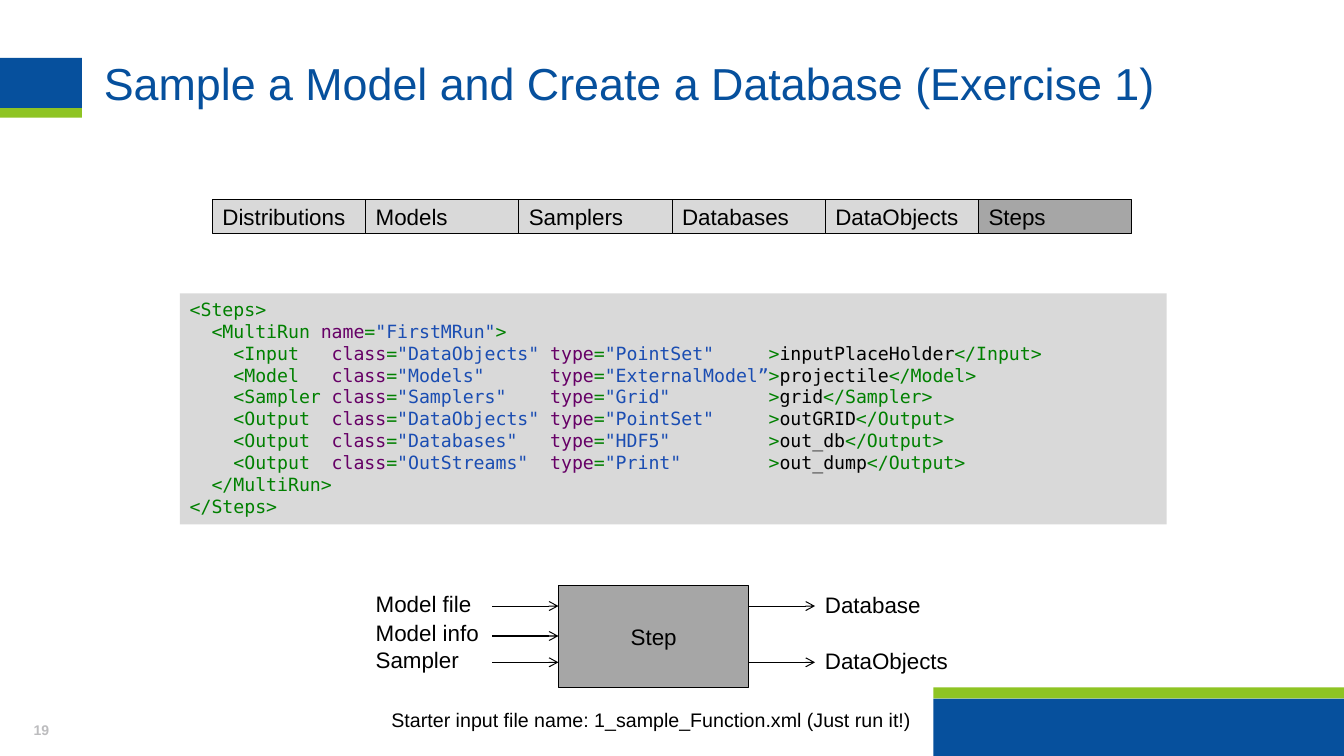
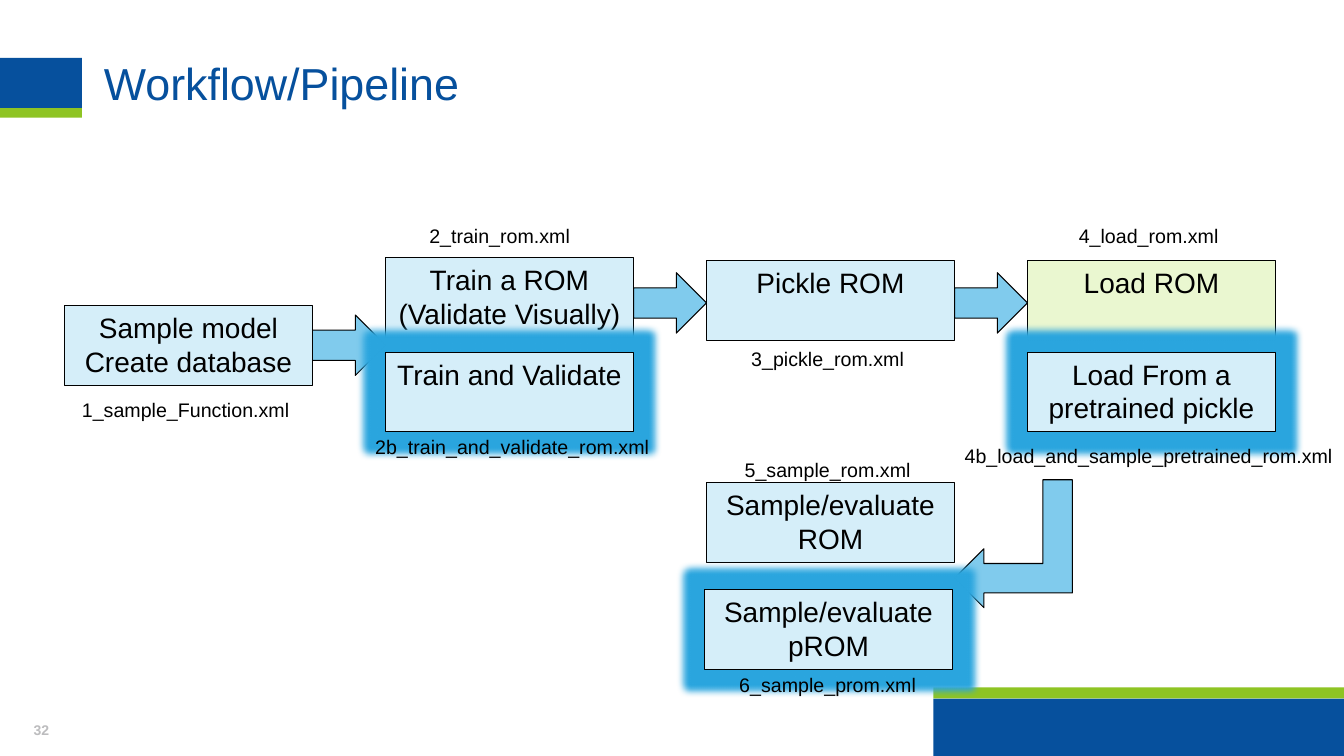
from dataclasses import dataclass

from lxml import etree
from pptx import Presentation
from pptx.dml.color import RGBColor
from pptx.enum.shapes import MSO_CONNECTOR, MSO_SHAPE
from pptx.enum.text import MSO_ANCHOR, PP_ALIGN
from pptx.oxml.ns import qn
from pptx.util import Pt

RECT, RIGHT_ARROW, BENT_ARROW = MSO_SHAPE.RECTANGLE, MSO_SHAPE.RIGHT_ARROW, MSO_SHAPE.BENT_UP_ARROW
STRAIGHT = MSO_CONNECTOR.STRAIGHT
LEFT, CENTER = PP_ALIGN.LEFT, PP_ALIGN.CENTER
TOP, MIDDLE = MSO_ANCHOR.TOP, MSO_ANCHOR.MIDDLE


@dataclass(frozen=True)
class Theme:
    font: str = "Arial"
    mono: str = "DejaVu Sans Mono"
    blue: str = "06509D"
    green: str = "8EC423"
    text: str = "000000"
    number: str = "BCBCBE"
    panel: str = "D9D9D9"
    active: str = "A6A6A6"
    box: str = "D5EEF9"
    box_alt: str = "EAF7D0"
    arrow: str = "80CBED"
    glow: str = "2BA6DF"
    tag: str = "008000"
    attr: str = "660066"
    value: str = "1A4DB2"
    title_size: float = 32
    box_size: float = 20
    body_size: float = 16
    label_size: float = 14
    code_size: float = 13
    number_size: float = 10
    outline: float = 0.75
    glow_radius: float = 10


T = Theme()
SLIDE_W, SLIDE_H = 960, 540
INSETS = (7.2, 3.6, 7.2, 3.6)


def rgb(value):
    return RGBColor.from_string(value)


def style_font(font, size, color=T.text, name=T.font, bold=False):
    font.name, font.size, font.bold = name, Pt(size), bold
    font.color.rgb = rgb(color)


def fill_text(sp, text, size, align=LEFT, anchor=TOP, insets=INSETS, color=T.text,
              bold=False, spacing=None):
    tf = sp.text_frame
    tf.word_wrap = True
    tf.vertical_anchor = anchor
    tf.margin_left, tf.margin_top, tf.margin_right, tf.margin_bottom = map(Pt, insets)
    tf.text = text
    for p in tf.paragraphs:
        p.alignment = align
        if spacing:
            p.line_spacing = spacing
        style_font(p.font, size, color, bold=bold)


def add_text(slide, box, text, size, **kwargs):
    sp = slide.shapes.add_textbox(*map(Pt, box))
    fill_text(sp, text, size, **kwargs)
    return sp


def add_shape(slide, kind, box, fill, outlined=True):
    sp = slide.shapes.add_shape(kind, *map(Pt, box))
    sp.shadow.inherit = False
    sp.fill.solid()
    sp.fill.fore_color.rgb = rgb(fill)
    if outlined:
        sp.line.color.rgb = rgb(T.text)
        sp.line.width = Pt(T.outline)
    else:
        sp.line.fill.background()
    return sp


def add_glow(sp):
    effects = sp._element.spPr.find(qn("a:effectLst"))
    glow = etree.SubElement(effects, qn("a:glow"), rad=str(Pt(T.glow_radius)))
    etree.SubElement(glow, qn("a:srgbClr"), val=T.glow)


def add_flow_arrow(slide, x1, x2, y):
    cxn = slide.shapes.add_connector(STRAIGHT, Pt(x1), Pt(y), Pt(x2), Pt(y))
    cxn.line.color.rgb = rgb(T.text)
    cxn.line.width = Pt(T.outline)
    sp_pr = cxn._element.spPr
    etree.SubElement(sp_pr.find(qn("a:ln")), qn("a:tailEnd"), type="arrow")
    etree.SubElement(sp_pr, qn("a:effectLst"))


def new_slide(prs, title, number):
    """Add a slide with the shared bands, title and slide number."""
    slide = prs.slides.add_slide(prs.slide_layouts[6])
    corner_x = 666.7
    for box, color in (
        ((corner_x, 499, SLIDE_W - corner_x, SLIDE_H - 499), T.blue),
        ((corner_x, 491, SLIDE_W - corner_x, 8), T.green),
        ((0, 41.3, 58.5, 36), T.blue),
        ((0, 77.3, 58.5, 6.8), T.green),
    ):
        add_shape(slide, RECT, box, color, outlined=False)
    add_text(slide, (74.2, 43.9, 820, 79), title, T.title_size, color=T.blue,
             insets=(0, 0, 7.2, 3.6), spacing=0.9)
    add_text(slide, (12.2, 511.2, 34.6, 28.8), str(number), T.number_size, color=T.number,
             bold=True, align=CENTER, anchor=MIDDLE, insets=(7.2, 3.6, 7.2, 12.2))
    return slide


def section_bar(slide, box, names, active):
    x, y, w, h = box
    cell_w = w / len(names)
    for i, name in enumerate(names):
        sp = add_shape(slide, RECT, (x + i * cell_w, y, cell_w, h),
                       T.active if name == active else T.panel)
        fill_text(sp, name, T.body_size, anchor=MIDDLE)


def step_code():
    """Return the code lines, each a list of (text, colour)."""
    children = (
        ("Input", "DataObjects", '"PointSet"', "inputPlaceHolder"),
        ("Model", "Models", '"ExternalModel”', "projectile"),
        ("Sampler", "Samplers", '"Grid"', "grid"),
        ("Output", "DataObjects", '"PointSet"', "outGRID"),
        ("Output", "Databases", '"HDF5"', "out_db"),
        ("Output", "OutStreams", '"Print"', "out_dump"),
    )
    lines = [
        [("<Steps>", T.tag)],
        [("  <MultiRun ", T.tag), ("name", T.attr), ("=", T.tag),
         ('"FirstMRun"', T.value), (">", T.tag)],
    ]
    for tag, cls, kind, body in children:
        lines.append([
            (f"    <{tag:<8}", T.tag),
            ("class", T.attr), ("=", T.tag), (f'"{cls}"'.ljust(14), T.value),
            ("type", T.attr), ("=", T.tag), (kind.ljust(15), T.value),
            (">", T.tag), (body, T.text), (f"</{tag}>", T.tag),
        ])
    return lines + [[("  </MultiRun>", T.tag)], [("</Steps>", T.tag)]]


def code_panel(slide, box, lines):
    sp = add_shape(slide, RECT, box, T.panel, outlined=False)
    fill_text(sp, "", T.code_size)
    tf = sp.text_frame
    for i, line in enumerate(lines):
        p = tf.add_paragraph() if i else tf.paragraphs[0]
        p.alignment = LEFT
        for text, color in line:
            r = p.add_run()
            r.text = text
            style_font(r.font, T.code_size, color, T.mono)


def step_diagram(slide, box):
    """Draw the step in box, with its inputs on the left and outputs on the right."""
    x, y, w, h = box
    arrow_w, label_w = 47.2, 108
    sp = add_shape(slide, RECT, box, T.active)
    fill_text(sp, "Step", T.body_size, align=CENTER, anchor=MIDDLE)
    inputs = (("Model file", 0, 14.6), ("Model info", 20.2, 36), ("Sampler", 40, 54.8))
    outputs = (("Database", 0.2, 14.6), ("DataObjects", 40.4, 54.8))
    for flows, arrow_x, label_x in (
        (inputs, x - arrow_w, x - 137.6),
        (outputs, x + w, x + w + arrow_w),
    ):
        for text, label_dy, arrow_dy in flows:
            add_flow_arrow(slide, arrow_x, arrow_x + arrow_w, y + arrow_dy)
            add_text(slide, (label_x, y + label_dy, label_w, 30), text, T.body_size)


def file_label(slide, center_x, y, text, width=272):
    add_text(slide, (center_x - width / 2, y, width, 24.5), text, T.label_size,
             align=CENTER, insets=(0, 3.6, 0, 3.6))


def workflow(slide, box):
    """Draw the pipeline in four columns that span the box."""
    x, y, w, _ = box
    box_w, box_h, arrow_h = 177.1, 57, 43.2
    pitch = (w - box_w) / 3

    def stage(col, dy, text, file_name, label_dy, fill=T.box, glow=False, dx=0, label_dx=-2):
        left = x + col * pitch
        sp = add_shape(slide, RECT, (left + dx, y + dy, box_w, box_h), fill)
        fill_text(sp, text, T.box_size, align=CENTER)
        if glow:
            add_glow(sp)
        file_label(slide, left + box_w / 2 + label_dx, y + label_dy, file_name)

    def arrow_after(col, dy):
        add_shape(slide, RIGHT_ARROW, (x + col * pitch + box_w, y + dy - arrow_h / 2,
                                       pitch - box_w, arrow_h), T.arrow)

    bent = add_shape(slide, BENT_ARROW, (x + 632.1, y + 190.1, 91.4, 84.2), T.arrow)
    bent.rotation = 270
    bent._element.spPr.xfrm.set("flipH", "1")
    for col, dy in enumerate((90.4, 60.2, 60.2)):
        arrow_after(col, dy)

    stage(0, 62, "Sample model Create database", "1_sample_Function.xml", 124.6)
    stage(1, 27.8, "Train a ROM\n(Validate Visually)", "2_train_rom.xml", 0, label_dx=-7)
    stage(1, 95.3, "Train and Validate", "2b_train_and_validate_rom.xml", 151.2,
          glow=True, label_dx=2)
    stage(2, 30, "Pickle ROM", "3_pickle_rom.xml", 88.3)
    stage(3, 29.8, "Load ROM", "4_load_rom.xml", 0, fill=T.box_alt)
    stage(3, 95.3, "Load From a pretrained pickle", "4b_load_and_sample_pretrained_rom.xml",
          157, glow=True)
    stage(2, 188.7, "Sample/evaluate ROM", "5_sample_rom.xml", 167.1)
    stage(2, 265, "Sample/evaluate pROM", "6_sample_prom.xml", 321.1, glow=True, dx=-1.4)


def exercise_slide(prs):
    slide = new_slide(prs, "Sample a Model and Create a Database (Exercise 1)", 19)
    section_bar(slide, (151.8, 142.5, 656.7, 24.5),
                ("Distributions", "Models", "Samplers", "Databases", "DataObjects", "Steps"),
                active="Steps")
    step_diagram(slide, (398.9, 418.3, 136.1, 72.5))
    file_label(slide, 465.3, 501.8,
               "Starter input file name: 1_sample_Function.xml (Just run it!)", width=720)
    code_panel(slide, (128.4, 209.5, 705, 165), step_code())


def workflow_slide(prs):
    slide = new_slide(prs, "Workflow/Pipeline", 32)
    workflow(slide, (46.1, 156.2, 865, 345.6))


def main():
    prs = Presentation()
    prs.slide_width, prs.slide_height = Pt(SLIDE_W), Pt(SLIDE_H)
    exercise_slide(prs)
    workflow_slide(prs)
    prs.save("out.pptx")


if __name__ == "__main__":
    main()
